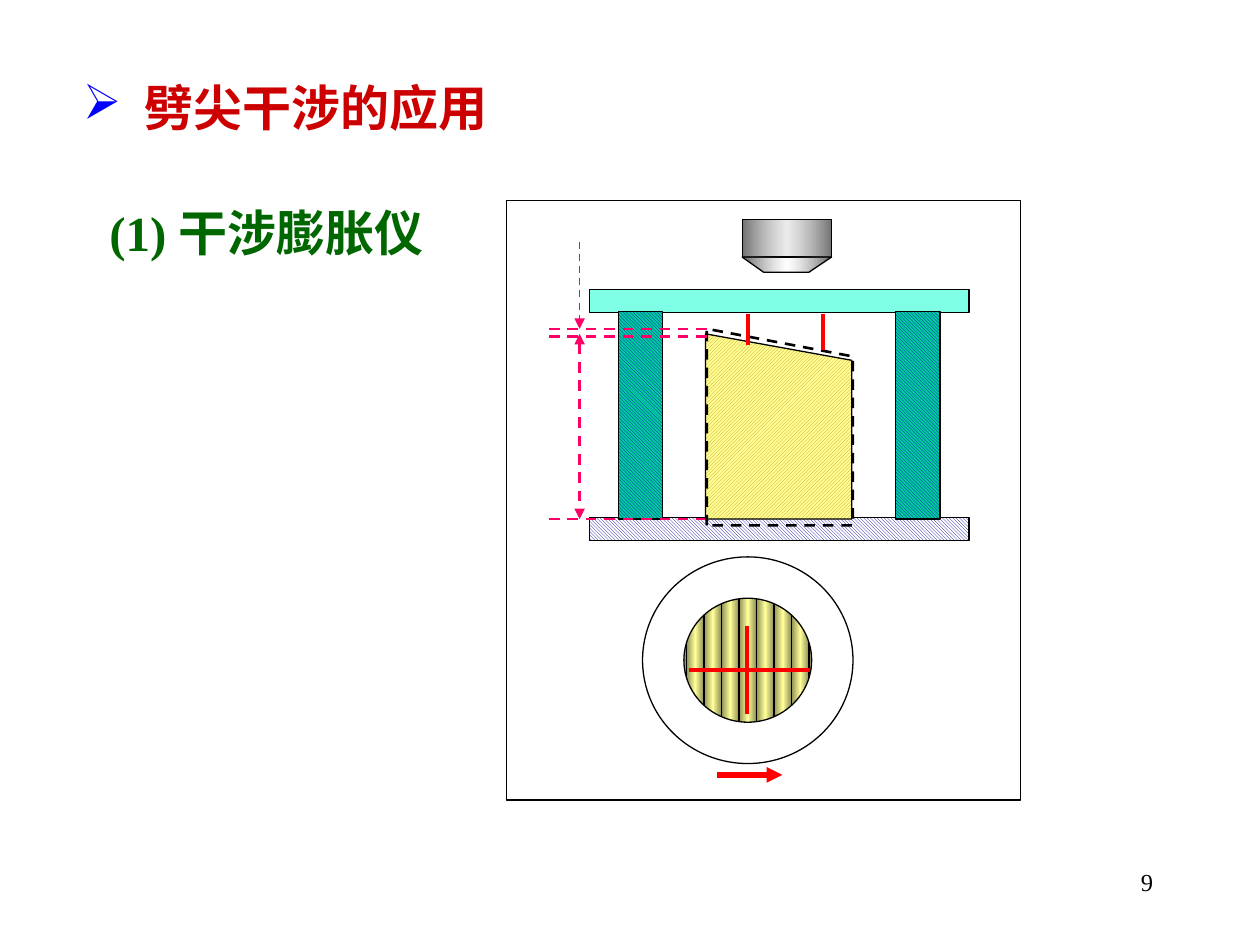
from lxml.etree import SubElement
from pptx import Presentation
from pptx.dml.color import RGBColor
from pptx.enum.dml import MSO_LINE, MSO_PATTERN
from pptx.enum.shapes import MSO_CONNECTOR, MSO_SHAPE
from pptx.enum.text import MSO_AUTO_SIZE, PP_ALIGN
from pptx.oxml.ns import qn
from pptx.util import Inches, Pt

BLACK, WHITE, RED, PINK = "000000", "FFFFFF", "FF0000", "FF0066"
DOWN = MSO_PATTERN.DARK_DOWNWARD_DIAGONAL
UP = MSO_PATTERN.DARK_UPWARD_DIAGONAL


def color(code):
    return RGBColor.from_string(code)


class Sketch:
    """Draw styled elements on the current slide."""

    font = "Times New Roman"

    def __init__(self, slide):
        self.slide = slide
        self.shapes = slide.shapes

    def text(self, box, words, size, tint, bold=False, align=None, bullet=None, indent=0):
        item = self.shapes.add_textbox(*map(Inches, box))
        frame = item.text_frame
        frame.word_wrap = True
        frame.auto_size = MSO_AUTO_SIZE.NONE
        para = frame.paragraphs[0]
        para.text = words
        if bullet:
            props = para._p.get_or_add_pPr()
            props.set("marL", str(Inches(indent)))
            props.set("indent", str(-Inches(indent)))
            shade = SubElement(props, qn("a:buClr"))
            SubElement(shade, qn("a:srgbClr"), val=bullet[1])
            SubElement(props, qn("a:buChar"), char=bullet[0])
        if align is not None:
            para.alignment = align
        para.font.name = self.font
        para.font.size = Pt(size)
        para.font.bold = bold
        para.font.color.rgb = color(tint)

    def outline(self, item, tint=BLACK, width=0.75, dash=False):
        item.line.color.rgb = color(tint)
        item.line.width = Pt(width)
        if dash:
            item.line.dash_style = MSO_LINE.DASH

    def shape(self, box, kind=MSO_SHAPE.RECTANGLE):
        item = self.shapes.add_shape(kind, *map(Inches, box))
        item.shadow.inherit = False
        self.outline(item)
        return item

    def free(self, points, **style):
        first, *rest = [(Inches(x), Inches(y)) for x, y in points]
        maker = self.shapes.build_freeform(*first)
        maker.add_line_segments(rest, close=True)
        item = maker.convert_to_shape()
        item.shadow.inherit = False
        self.outline(item, **style)
        return item

    def line(self, start, end, tint, width, dash=False, ends=()):
        item = self.shapes.add_connector(MSO_CONNECTOR.STRAIGHT, *map(Inches, start + end))
        self.outline(item, tint, width, dash)
        props = item.element.spPr
        for end in ends:
            SubElement(props.find(qn("a:ln")), qn(f"a:{end}End"), type="triangle")
        SubElement(props, qn("a:effectLst"))

    def solid(self, item, tint, alpha=100):
        item.fill.solid()
        item.fill.fore_color.rgb = color(tint)
        if alpha < 100:
            mark = item.element.spPr.find(qn("a:solidFill"))[0]
            SubElement(mark, qn("a:alpha"), val=str(alpha * 1000))

    def hatch(self, item, pattern, fore, back):
        item.fill.patterned()
        item.fill.pattern = pattern
        item.fill.fore_color.rgb = color(fore)
        item.fill.back_color.rgb = color(back)

    def shine(self, item, edge, mid, alpha=100):
        item.fill.gradient()
        item.fill.gradient_angle = 0
        stops = item.element.spPr.find(qn("a:gradFill")).find(qn("a:gsLst"))
        stops.clear()
        for place, tint in ((0, edge), (50, mid), (100, edge)):
            stop = SubElement(stops, qn("a:gs"), pos=str(place * 1000))
            mark = SubElement(stop, qn("a:srgbClr"), val=tint)
            if place == 50 and alpha < 100:
                SubElement(mark, qn("a:alpha"), val=str(alpha * 1000))


def main():
    deck = Presentation()
    deck.slide_width, deck.slide_height = Inches(10), Inches(7.5)
    art = Sketch(deck.slides.add_slide(deck.slide_layouts[6]))

    art.text((7.17, 6.83, 2.08, 0.5), "9", 14, BLACK, align=PP_ALIGN.RIGHT)
    art.text((0.77, 1.56, 4.08, 0.57), "(1) 干涉膨胀仪", 28, "006600", True)
    art.text((0.56, 0.57, 5.08, 0.57), "劈尖干涉的应用", 28, "CC0000", True,
             bullet=("➢", "0000FF"), indent=0.49)

    art.solid(art.shape((4.02, 1.59, 4.08, 4.76)), WHITE)
    art.solid(art.shape((4.68, 2.3, 3.01, 0.18)), "00FFCC", 50)
    art.hatch(art.shape((4.68, 4.11, 3.01, 0.18)), DOWN, "000099", WHITE)
    for left in (4.91, 7.11):
        art.hatch(art.shape((left, 2.47, 0.35, 1.65)), DOWN, "0000CC", "00CC99")
    sample = art.free([(5.6, 4.12), (5.6, 2.65), (6.76, 2.86), (6.76, 4.12)])
    art.hatch(sample, UP, "CC9900", "FFFF99")

    art.line((5.61, 4.12), (4.34, 4.12), PINK, 1.5, True)
    art.line((4.6, 2.65), (4.6, 4.12), PINK, 1.5, True, ("head", "tail"))
    art.shine(art.shape((5.89, 1.74, 0.71, 0.3)), "727272", "B2B2B2", 25)
    lens = art.free([(5.89, 2.04), (6.06, 2.16), (6.42, 2.16), (6.6, 2.04)])
    art.shine(lens, "646464", "B2B2B2", 0)

    grown = art.free([(5.61, 4.17), (5.61, 2.61), (6.77, 2.83), (6.77, 4.17)],
                     width=1.5, dash=True)
    grown.fill.background()
    for level in (2.67, 2.61):
        art.line((5.61, level), (4.34, level), PINK, 1.5, True)
    art.line((4.6, 1.92), (4.6, 2.61), PINK, 1, True, ("tail",))
    for x, low in ((5.94, 2.74), (6.53, 2.78)):
        art.line((x, low), (x, 2.49), RED, 2.25)

    art.line((5.69, 6.15), (6.21, 6.15), RED, 3, ends=("tail",))
    count, span = 9, 1.25
    step = span / count
    for i in range(count):
        art.shine(art.shape((5.31 + i * step, 4.72, step, 1.04)), "8F8F56", "FFFF99")
    art.line((5.47, 5.32), (6.45, 5.32), RED, 2.25)
    art.line((5.93, 5.67), (5.93, 4.97), RED, 2.25)
    ring = art.shape((5.1, 4.42, 1.67, 1.64), MSO_SHAPE.DONUT)
    ring.adjustments[0] = 0.2
    art.solid(ring, WHITE)

    deck.save("out.pptx")


if __name__ == "__main__":
    main()
